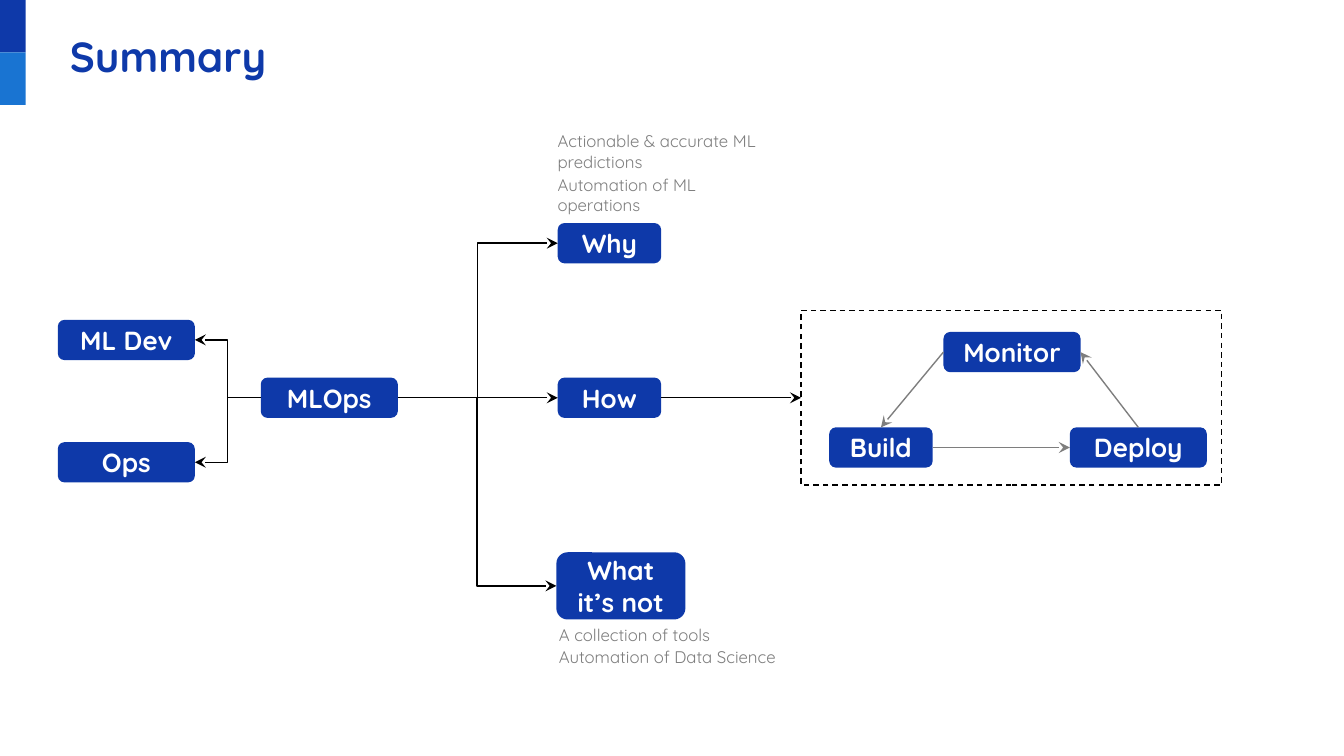
"""Build the MLOps summary slide with its branching diagram."""
from lxml import etree
from pptx import Presentation
from pptx.dml.color import RGBColor
from pptx.enum.dml import MSO_LINE
from pptx.enum.shapes import MSO_CONNECTOR, MSO_SHAPE
from pptx.enum.text import MSO_ANCHOR, MSO_AUTO_SIZE, PP_ALIGN
from pptx.oxml.ns import qn
from pptx.util import Inches, Pt

RECT, ROUND = MSO_SHAPE.RECTANGLE, MSO_SHAPE.ROUNDED_RECTANGLE
ELBOW, LINE = MSO_CONNECTOR.ELBOW, MSO_CONNECTOR.STRAIGHT
DASH = MSO_LINE.DASH
LEFT, CENTER = PP_ALIGN.LEFT, PP_ALIGN.CENTER
MIDDLE = MSO_ANCHOR.MIDDLE
FIXED = MSO_AUTO_SIZE.NONE
FONT = "Quicksand"
WIDTH = 10
HEIGHT = WIDTH * 9 / 16
COLORS = {"navy": "0E39A9", "blue": "1974D2", "white": "FFFFFF",
          "black": "000000", "gray": "7E7E7E"}
SITES = {"top": 0, "left": 1, "bottom": 2, "right": 3}

NODES = {
    "MLOps": (1.94, 2.81, 1.02, 0.3),
    "ML Dev": (0.43, 2.38, 1.02, 0.3),
    "Ops": (0.43, 3.29, 1.02, 0.3),
    "Why": (4.15, 1.66, 0.77, 0.3),
    "What it’s not": (4.14, 4.11, 0.96, 0.5),
    "How": (4.15, 2.81, 0.77, 0.3),
    "Build": (6.17, 3.18, 0.77, 0.3),
    "Deploy": (7.96, 3.18, 1.02, 0.3),
    "Monitor": (7.02, 2.47, 1.02, 0.3),
}
NOTES = {
    "Actionable & accurate ML predictions": (4.05, 0.92, 2.12, 0.41),
    "Automation of ML operations": (4.05, 1.3, 1.72, 0.3),
    "A collection of tools": (4.06, 4.61, 1.48, 0.23),
    "Automation of Data Science": (4.06, 4.74, 1.89, 0.3),
}
LINKS = [
    ("How", "right", "Loop", "left", LINE, "black"),
    ("Build", "right", "Deploy", "left", LINE, "gray"),
    ("Deploy", "top", "Monitor", "right", LINE, "gray"),
    ("Monitor", "left", "Build", "top", LINE, "gray"),
    ("MLOps", "right", "Why", "left", ELBOW, "black"),
    ("MLOps", "right", "How", "left", ELBOW, "black"),
    ("MLOps", "right", "What it’s not", "left", ELBOW, "black"),
    ("MLOps", "left", "ML Dev", "right", ELBOW, "black"),
    ("MLOps", "left", "Ops", "right", ELBOW, "black"),
]


def paint(name):
    return RGBColor.from_string(COLORS[name])


def write(shape, text, size=9, color="gray", bold=False, align=LEFT, inset=0.1):
    frame = shape.text_frame
    frame.text = text
    frame.word_wrap = True
    frame.auto_size = FIXED
    frame.vertical_anchor = MIDDLE
    frame.margin_left = frame.margin_right = Inches(inset)
    frame.margin_top = frame.margin_bottom = Inches(inset)
    line = frame.paragraphs[0]
    line.alignment = align
    font = line.runs[0].font
    font.name, font.size, font.bold = FONT, Pt(size), bold
    font.color.rgb = paint(color)


def add_box(slide, area, fill=None, kind=RECT):
    box = slide.shapes.add_shape(kind, *map(Inches, area))
    box.shadow.inherit = False
    if fill:
        box.fill.solid()
        box.fill.fore_color.rgb = paint(fill)
        box.line.fill.background()
    else:
        box.fill.background()
        box.line.color.rgb = paint("black")
        box.line.width = Pt(0.75)
        box.line.dash_style = DASH
    return box


def add_node(slide, text, area):
    node = add_box(slide, area, "navy", ROUND)
    write(node, text, size=14, color="white", bold=True, align=CENTER)
    return node


def add_note(slide, text, area):
    write(slide.shapes.add_textbox(*map(Inches, area)), text)


def add_link(slide, start, exit, end, entry, kind, color):
    link = slide.shapes.add_connector(kind, 0, 0, 0, 0)
    link.begin_connect(start, SITES[exit])
    link.end_connect(end, SITES[entry])
    link.line.color.rgb = paint(color)
    link.line.width = Pt(0.75)
    etree.SubElement(link.line._get_or_add_ln(), qn("a:tailEnd"), type="stealth")
    etree.SubElement(link._element.spPr, qn("a:effectLst"))


def add_title(slide, text, area):
    title = slide.shapes.title
    title.left, title.top, title.width, title.height = map(Inches, area)
    write(title, text, size=22.5, color="navy", bold=True, inset=0.01)


def main():
    deck = Presentation()
    deck.slide_width, deck.slide_height = Inches(WIDTH), Inches(HEIGHT)
    slide = deck.slides.add_slide(deck.slide_layouts[5])
    for row, fill in enumerate(("navy", "blue")):
        add_box(slide, (0, row * 0.39, 0.19, 0.39), fill)
    add_title(slide, "Summary", (0.51, 0.21, 8.98, 0.41))
    parts = {"Loop": add_box(slide, (5.96, 2.31, 3.13, 1.3))}
    for text, area in NODES.items():
        parts[text] = add_node(slide, text, area)
    for text, area in NOTES.items():
        add_note(slide, text, area)
    for start, exit, end, entry, kind, color in LINKS:
        add_link(slide, parts[start], exit, parts[end], entry, kind, color)
    deck.save("out.pptx")


if __name__ == "__main__":
    main()
